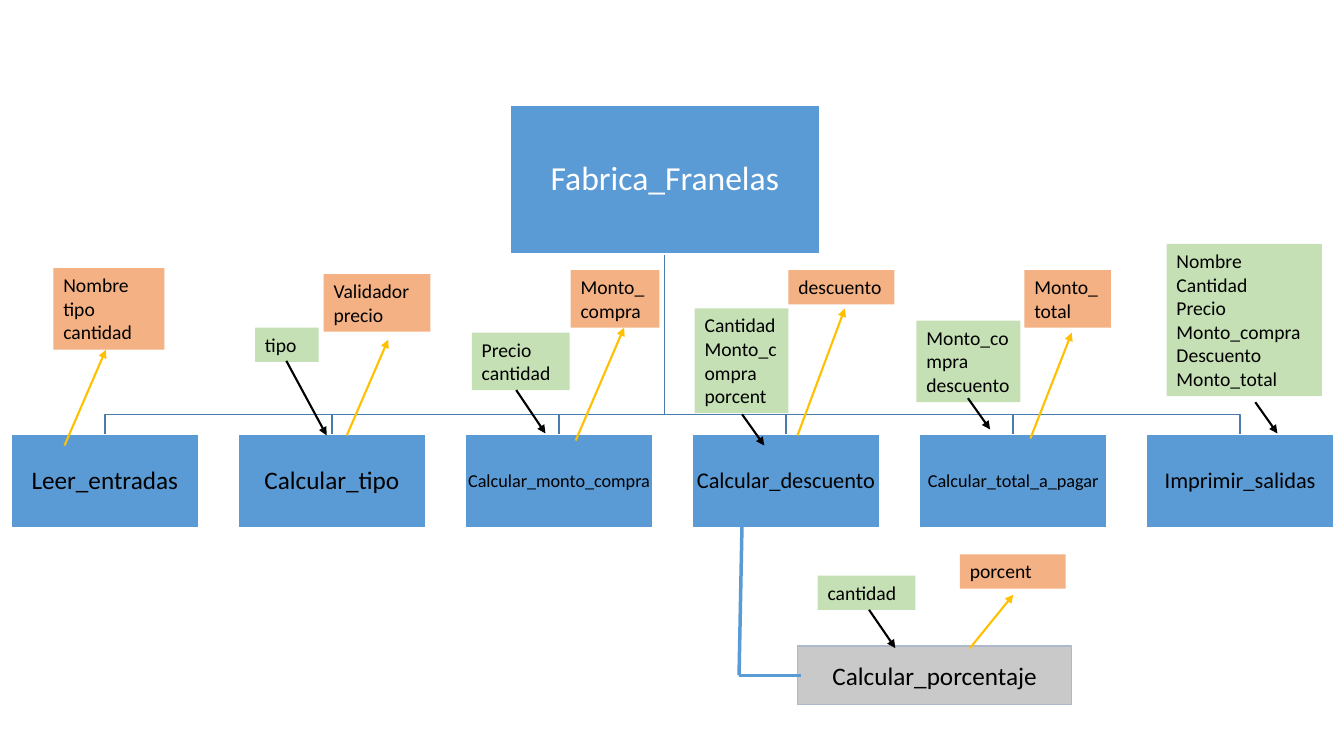
from lxml.etree import SubElement
from pptx import Presentation
from pptx.dml.color import RGBColor
from pptx.enum.shapes import MSO_CONNECTOR, MSO_SHAPE
from pptx.enum.text import MSO_ANCHOR, MSO_AUTO_SIZE, PP_ALIGN
from pptx.oxml.ns import qn
from pptx.util import Inches, Pt

COLORS = {
    "blue": "5B9BD5", "edge": "497CAB", "white": "FFFFFF", "black": "000000",
    "out": "F4B183", "in": "C5E0B4", "gold": "FFC000",
    "gray": "C9C9C9", "rim": "ADB9CA",
}
FONT = "Calibri"


def color(name):
    return RGBColor.from_string(COLORS[name])


def put_text(frame, text, size=14, ink="black", align=PP_ALIGN.LEFT,
             anchor=MSO_ANCHOR.TOP, space=None, inset=None, grow=False):
    frame.word_wrap = True
    frame.vertical_anchor = anchor
    if grow:
        frame.auto_size = MSO_AUTO_SIZE.SHAPE_TO_FIT_TEXT
    if inset is not None:
        frame.margin_left = frame.margin_right = Inches(inset)
        frame.margin_top = frame.margin_bottom = Inches(inset)
    frame.text = text
    for para in frame.paragraphs:
        para.alignment = align
        if space:
            para.line_spacing = space
        for run in para.runs:
            run.font.name = FONT
            run.font.size = Pt(size)
            run.font.color.rgb = color(ink)


class Chart:
    def __init__(self, slide):
        self.shapes = slide.shapes

    def box(self, text, at, fill, line=None, **style):
        shape = self.shapes.add_shape(MSO_SHAPE.RECTANGLE, *map(Inches, at))
        shape.shadow.inherit = False
        shape.fill.solid()
        shape.fill.fore_color.rgb = color(fill)
        if line:
            shape.line.color.rgb = color(line)
            shape.line.width = Pt(1)
        else:
            shape.line.fill.background()
        put_text(shape.text_frame, text, **style)

    def node(self, text, at, size, fill="blue", line="white", **style):
        self.box(text, at, fill, line, size=size, align=PP_ALIGN.CENTER,
                 anchor=MSO_ANCHOR.MIDDLE, **style)

    def note(self, text, at, fill):
        self.box(text, at, fill, grow=True)

    def branch(self, points):
        spots = [(Inches(x), Inches(y)) for x, y in points]
        path = self.shapes.build_freeform(*spots[0])
        path.add_line_segments(spots[1:], close=False)
        shape = path.convert_to_shape()
        shape.shadow.inherit = False
        shape.fill.background()
        shape.line.color.rgb = color("edge")
        shape.line.width = Pt(1)

    def line(self, ends, ink, width=1.5, arrow=True):
        link = self.shapes.add_connector(MSO_CONNECTOR.STRAIGHT,
                                         *map(Inches, ends))
        link.line.color.rgb = color(ink)
        link.line.width = Pt(width)
        if arrow:
            SubElement(link.line._get_or_add_ln(), qn("a:tailEnd"),
                       type="triangle")
        SubElement(link._element.spPr, qn("a:effectLst"))


# Modules: name and text size
MODULES = [
    ("Leer_entradas", 18), ("Calcular_tipo", 18),
    ("Calcular_monto_compra", 13), ("Calcular_descuento", 16),
    ("Calcular_total_a_pagar", 13), ("Imprimir_salidas", 16),
]
LEFT, TOP, WIDE, HIGH, STEP = 0.11, 4.31, 1.86, 0.93, 2.252
ROOT_X, ROOT_Y, BUS_Y = 6.59, 2.53, 4.11

# Data passed between modules
NOTES = {
    "out": [
        ("Nombre\vtipo\ncantidad", (0.53, 2.66, 1.1, 0.81)),
        ("Validador\nprecio", (3.21, 2.72, 1.06, 0.57)),
        ("Monto_compra", (5.66, 2.68, 0.88, 0.57)),
        ("descuento", (7.82, 2.68, 1.05, 0.34)),
        ("Monto_total", (10.16, 2.68, 0.86, 0.57)),
        ("porcent", (9.52, 5.5, 1.05, 0.34)),
    ],
    "in": [
        ("tipo", (2.53, 3.25, 0.63, 0.34)),
        ("Precio\ncantidad", (4.68, 3.3, 0.97, 0.57)),
        ("Cantidad\nMonto_compra\nporcent", (6.89, 3.06, 0.93, 1.04)),
        ("Monto_compra\ndescuento", (9.09, 3.18, 1.03, 0.81)),
        ("Nombre\nCantidad\nPrecio\nMonto_compra\nDescuento\nMonto_total",
         (11.57, 2.42, 1.54, 1.51)),
        ("cantidad", (8.11, 5.71, 0.97, 0.34)),
    ],
}
ARROWS = {
    "black": [
        (12.45, 3.99, 12.67, 4.3), (9.6, 3.95, 9.82, 4.26),
        (7.36, 4.11, 7.58, 4.42), (5.12, 3.87, 5.41, 4.3),
        (2.84, 3.58, 3.24, 4.32), (8.62, 6.05, 8.88, 6.43),
    ],
    "gold": [
        (0.64, 4.42, 1.05, 3.47), (3.44, 4.32, 3.85, 3.37),
        (5.71, 4.37, 6.19, 3.25), (7.91, 4.32, 8.38, 3.06),
        (10.22, 4.35, 10.63, 3.3), (9.62, 6.43, 10.05, 5.9),
    ],
}


def main():
    deck = Presentation()
    deck.slide_width, deck.slide_height = Inches(13.33), Inches(7.5)
    chart = Chart(deck.slides.add_slide(deck.slide_layouts[6]))

    # Tree lines
    lefts = [LEFT + STEP * i for i in range(len(MODULES))]
    for left in lefts:
        mid = left + WIDE / 2
        chart.branch([(ROOT_X, ROOT_Y), (ROOT_X, BUS_Y),
                      (mid, BUS_Y), (mid, TOP)])

    # Root and modules
    chart.node("Fabrica_Franelas", (5.06, 1.04, 3.07, 1.48), 24,
               ink="white", space=0.9, inset=0.02)
    for left, (name, size) in zip(lefts, MODULES):
        chart.node(name, (left, TOP, WIDE, HIGH), size,
                   space=0.9, inset=0.01)

    # Submodule
    chart.node("Calcular_porcentaje", (7.91, 6.41, 2.72, 0.58), 18,
               fill="gray", line="rim")
    for ends in [(7.36, 5.18, 7.33, 6.7), (7.94, 6.7, 7.33, 6.7)]:
        chart.line(ends, "blue", width=2.5, arrow=False)

    # Notes and arrows
    for fill, notes in NOTES.items():
        for text, at in notes:
            chart.note(text, at, fill)
    for ink, arrows in ARROWS.items():
        for ends in arrows:
            chart.line(ends, ink)

    deck.save("out.pptx")


if __name__ == "__main__":
    main()
